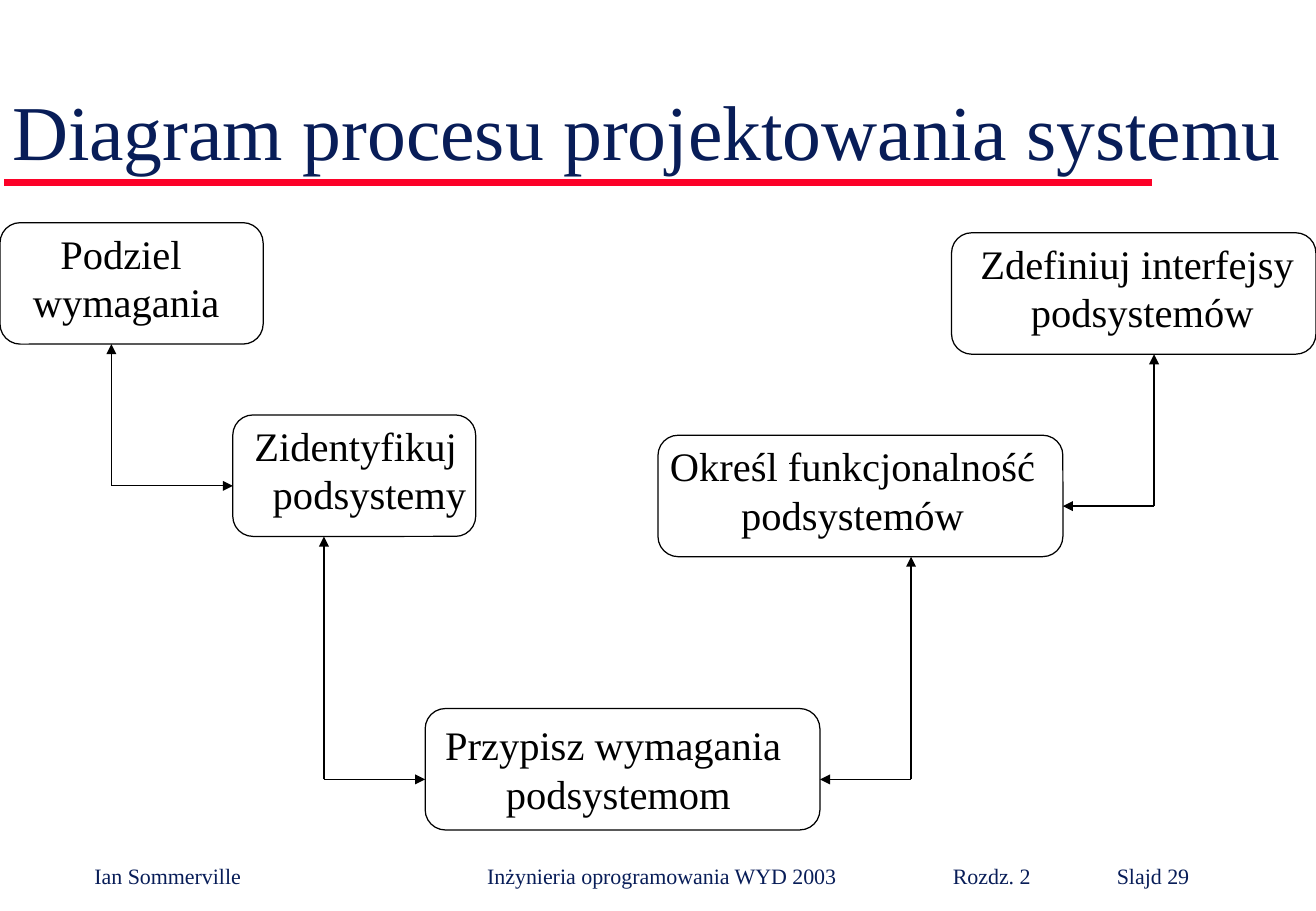
from lxml import etree
from pptx import Presentation
from pptx import util as u
from pptx.dml.color import RGBColor
from pptx.enum import shapes, text
from pptx.oxml import ns

COLUMNS, ROWS = 130, 90
CELL = u.Inches(1) / 12
NAVY = RGBColor(0x08, 0x1D, 0x58)
RED = RGBColor(0xFC, 0x01, 0x28)
BLACK = RGBColor(0, 0, 0)
LEFT, CENTER, RIGHT = text.PP_ALIGN.LEFT, text.PP_ALIGN.CENTER, text.PP_ALIGN.RIGHT


def grid(*cells):
    return [round(cell * CELL) for cell in cells]


def write(frame, lines, size, color, aligns=(LEFT,), font="Times New Roman",
          anchor=text.MSO_ANCHOR.TOP, margins=(0.1, 0.05, 0.1, 0.05)):
    frame.word_wrap = True
    frame.auto_size = text.MSO_AUTO_SIZE.NONE
    frame.vertical_anchor = anchor
    (frame.margin_left, frame.margin_top,
     frame.margin_right, frame.margin_bottom) = map(u.Inches, margins)
    for index, (line, align) in enumerate(zip(lines, aligns)):
        para = frame.add_paragraph() if index else frame.paragraphs[0]
        para.alignment = align
        span = para.add_run()
        span.text = line
        span.font.name = font
        span.font.size = u.Pt(size)
        span.font.color.rgb = color


class Diagram:
    def __init__(self, deck):
        self.page = deck.slides.add_slide(deck.slide_layouts[5])
        self.text_size = 24
        self.line_width = 0.75

    def title(self, words, *cells):
        box = self.page.shapes.title
        box.left, box.top, box.width, box.height = grid(*cells)
        write(box.text_frame, [words], 46, NAVY, anchor=text.MSO_ANCHOR.BOTTOM)

    def footer(self, items, stops, *cells):
        box = self.page.shapes.add_textbox(*grid(*cells))
        write(box.text_frame, ["\t".join(items)], 13, NAVY)
        properties = box.text_frame.paragraphs[0]._p.get_or_add_pPr()
        tabs = etree.SubElement(properties, ns.qn("a:tabLst"))
        for stop in grid(*stops):
            etree.SubElement(tabs, ns.qn("a:tab"), pos=str(stop), algn="l")

    def step(self, lines, *cells, aligns=(CENTER, CENTER), margins=(0, 0, 0, 0)):
        box = self.page.shapes.add_shape(
            shapes.MSO_SHAPE.ROUNDED_RECTANGLE, *grid(*cells))
        box.shadow.inherit = False
        box.fill.background()
        box.line.color.rgb = BLACK
        box.line.width = u.Pt(self.line_width)
        write(box.text_frame, lines, self.text_size, BLACK, aligns, margins=margins)
        return cells

    def line(self, start, end, color=BLACK, width=None, arrow=False):
        line = self.page.shapes.add_connector(
            shapes.MSO_CONNECTOR.STRAIGHT, *grid(*start, *end))
        line.line.color.rgb = color
        line.line.width = u.Pt(width or self.line_width)
        if arrow:
            etree.SubElement(line.line._get_or_add_ln(), ns.qn("a:tailEnd"), type="triangle")
        etree.SubElement(line._element.spPr, ns.qn("a:effectLst"))

    def link(self, corner, upper, lower):
        column, row = corner
        left, _, width, _ = lower
        side = left if column < left else left + width
        self.line(corner, (column, upper[1] + upper[3]), arrow=True)
        self.line(corner, (side, row), arrow=True)


deck = Presentation()
deck.slide_width, deck.slide_height = grid(COLUMNS, ROWS)
diagram = Diagram(deck)

diagram.line((0.4, 18), (113.8, 18), RED, 4)
diagram.footer(
    ["Ian Sommerville", "Inżynieria oprogramowania WYD 2003", "Rozdz. 2", "Slajd 29"],
    (38.8, 84.8, 101), 8.15, 84.6, 114, 3.8)
diagram.title("Diagram procesu projektowania systemu", 0, 3.5, 128, 14.5)

divide = diagram.step(["Podziel ", "wymagania"], 0, 22, 26, 12,
                      margins=(0, 0, 0.09, 0))
identify = diagram.step(["Zidentyfikuj ", "podsystemy"], 23, 41, 24, 12,
                        aligns=(LEFT, RIGHT), margins=(0.13, 0, 0.03, 0))
assign = diagram.step(["Przypisz wymagania ", "podsystemom"], 42, 70, 39, 12,
                      margins=(0, 0.05, 0.07, 0))
specify = diagram.step(["Określ funkcjonalność", "podsystemów"], 65, 43, 40, 12,
                       margins=(0, 0, 0.13, 0))
define = diagram.step(["Zdefiniuj interfejsy ", "podsystemów"], 94, 23, 36, 12,
                      margins=(0.14, 0, 0, 0))

diagram.link((11, 48), divide, identify)
diagram.link((32, 77), identify, assign)
diagram.link((90, 77), specify, assign)
diagram.link((114, 50), define, specify)

deck.save("out.pptx")
